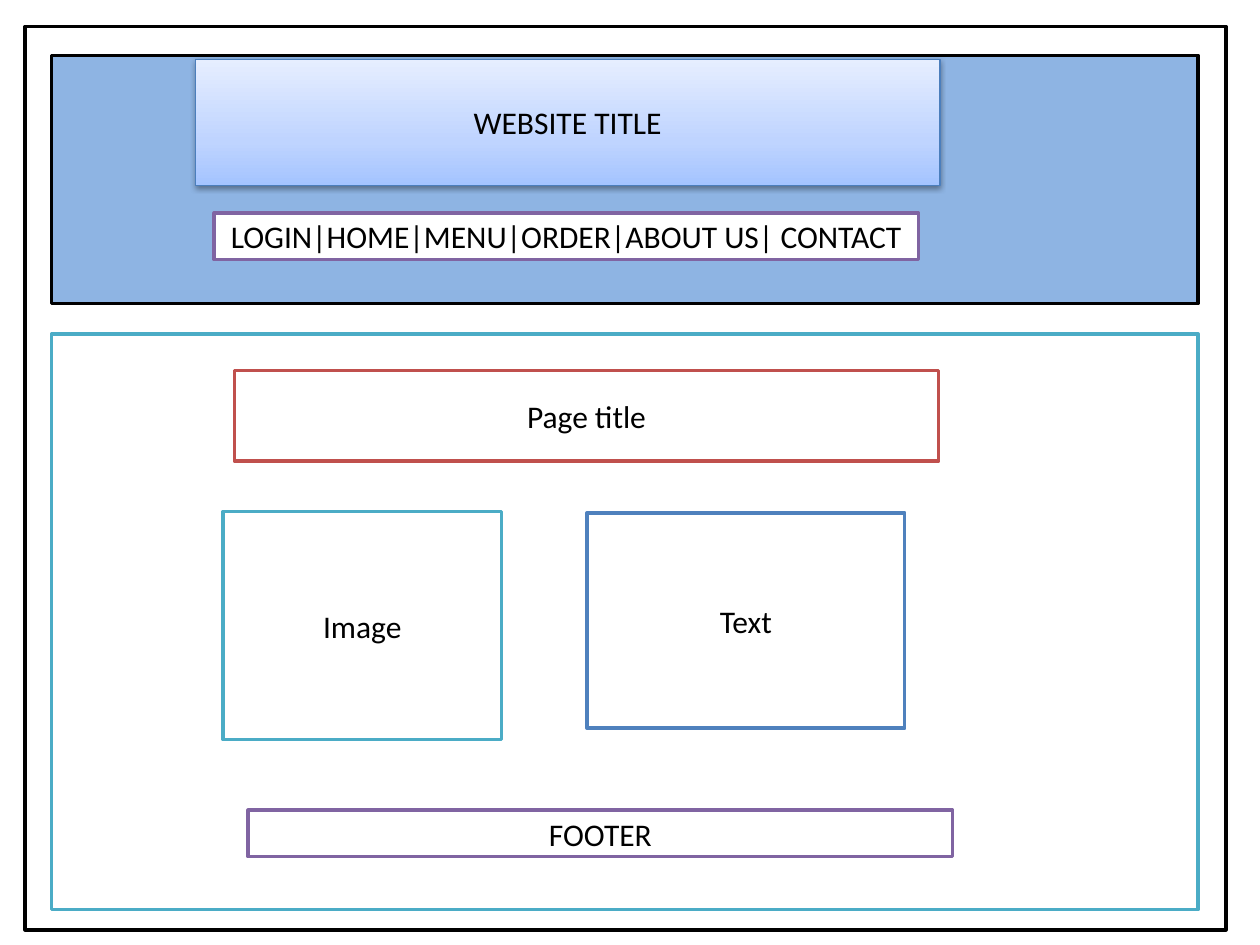
from dataclasses import dataclass

from pptx import Presentation
from pptx.dml.color import RGBColor
from pptx.enum.shapes import MSO_SHAPE
from pptx.enum.text import MSO_ANCHOR, MSO_AUTO_SIZE, PP_ALIGN
from pptx.oxml import parse_xml
from pptx.oxml.ns import nsdecls
from pptx.util import Inches, Pt


@dataclass(frozen=True)
class Theme:
    font: str = "Calibri"
    size: float = 18
    line: float = 2
    thin: float = 0.75
    ink: str = "000000"
    paper: str = "FFFFFF"
    band: str = "8EB4E3"
    aqua: str = "4BACC6"
    red: str = "C0504D"
    blue: str = "4F81BD"
    purple: str = "8064A2"
    edge: str = "4B7EBC"
    gradient: tuple = ((0, "A4C4FF"), (35, "BFD4FF"), (100, "E6EEFF"))


T = Theme()
COLS, ROWS = 100, 75
CELL_W, CELL_H = Inches(10) // COLS, Inches(7.5) // ROWS
NAV = "LOGIN|HOME|MENU|ORDER|ABOUT US| CONTACT"


def within(box, col, row, cols, rows):
    return box[0] + col, box[1] + row, cols, rows


def emu(box):
    col, row, cols, rows = box
    return (round(col * CELL_W), round(row * CELL_H),
            round(cols * CELL_W), round(rows * CELL_H))


def add_text(sp, text, size=T.size, color=T.ink, align=PP_ALIGN.CENTER):
    tf = sp.text_frame
    tf.word_wrap = True
    tf.auto_size = MSO_AUTO_SIZE.NONE
    tf.vertical_anchor = MSO_ANCHOR.MIDDLE
    p = tf.paragraphs[0]
    p.alignment = align
    r = p.add_run()
    r.text = text
    r.font.name = T.font
    r.font.size = Pt(size)
    r.font.color.rgb = RGBColor.from_string(color)


def set_line(sp, color, width=T.line):
    sp.line.color.rgb = RGBColor.from_string(color)
    sp.line.width = Pt(width)


def add_box(s, box, line, fill=T.paper, text=None):
    sp = s.shapes.add_shape(MSO_SHAPE.RECTANGLE, *emu(box))
    sp.shadow.inherit = False
    sp.fill.solid()
    sp.fill.fore_color.rgb = RGBColor.from_string(fill)
    set_line(sp, line)
    if text:
        add_text(sp, text)


def site_title(s, box):
    sp = s.shapes.title
    sp.left, sp.top, sp.width, sp.height = emu(box)
    stops = "".join(
        f'<a:gs pos="{pos * 1000}"><a:srgbClr val="{color}"/></a:gs>'
        for pos, color in T.gradient)
    spPr = sp.element.spPr
    for xml in (
        f'<a:prstGeom {nsdecls("a")} prst="rect"><a:avLst/></a:prstGeom>',
        f'<a:gradFill {nsdecls("a")} rotWithShape="1"><a:gsLst>{stops}</a:gsLst>'
        '<a:lin ang="16200000" scaled="0"/></a:gradFill>',
    ):
        spPr.append(parse_xml(xml))
    set_line(sp, T.edge, T.thin)
    spPr.append(parse_xml(
        f'<a:effectLst {nsdecls("a")}><a:outerShdw blurRad="{Pt(3.1)}" '
        f'dist="{Pt(1.6)}" dir="5400000" rotWithShape="0">'
        f'<a:srgbClr val="{T.ink}"><a:alpha val="38000"/></a:srgbClr>'
        '</a:outerShdw></a:effectLst>'))
    add_text(sp, "WEBSITE TITLE")
    sp.element.getparent().append(sp.element)


def header(s, box):
    add_box(s, box, T.ink, fill=T.band)
    site_title(s, within(box, 11.4, 0.3, 59.1, 10))
    add_box(s, within(box, 12.9, 12.5, 55.9, 3.7), T.purple, text=NAV)


def content(s, box):
    add_box(s, box, T.aqua)
    for text, line, place in (
        ("Page title", T.red, (14.5, 2.9, 55.9, 7.2)),
        ("Image", T.aqua, (13.6, 14.1, 22.1, 18.1)),
        ("Text", T.blue, (42.5, 14.2, 25.2, 17.1)),
        ("FOOTER", T.purple, (15.6, 37.8, 55.9, 3.7)),
    ):
        add_box(s, within(box, *place), line, text=text)


def main():
    prs = Presentation()
    prs.slide_width, prs.slide_height = COLS * CELL_W, ROWS * CELL_H
    s = prs.slides.add_slide(prs.slide_layouts[5])
    page = (2, 2.1, 95.3, 71.7)
    add_box(s, page, T.ink)
    header(s, within(page, 2.1, 2.3, 91, 19.7))
    content(s, within(page, 2.1, 24.4, 91, 45.7))
    prs.save("out.pptx")


if __name__ == "__main__":
    main()
